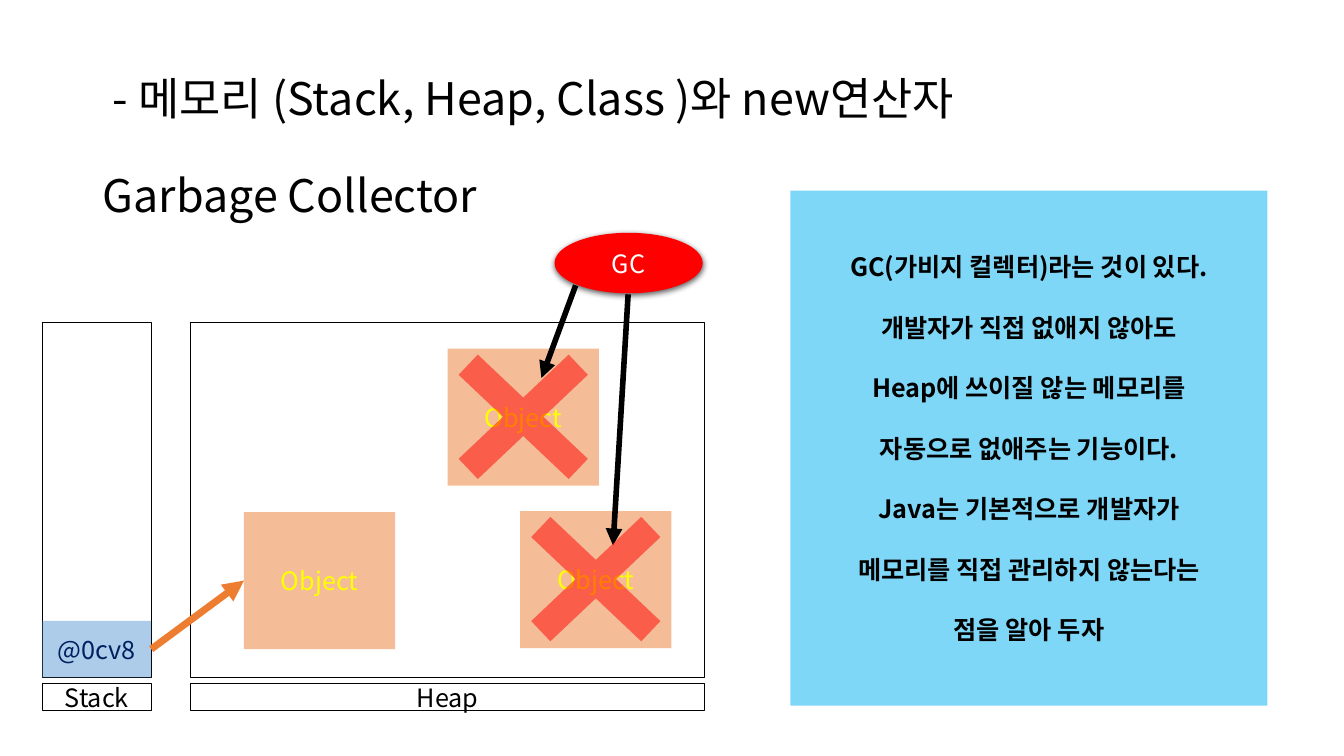
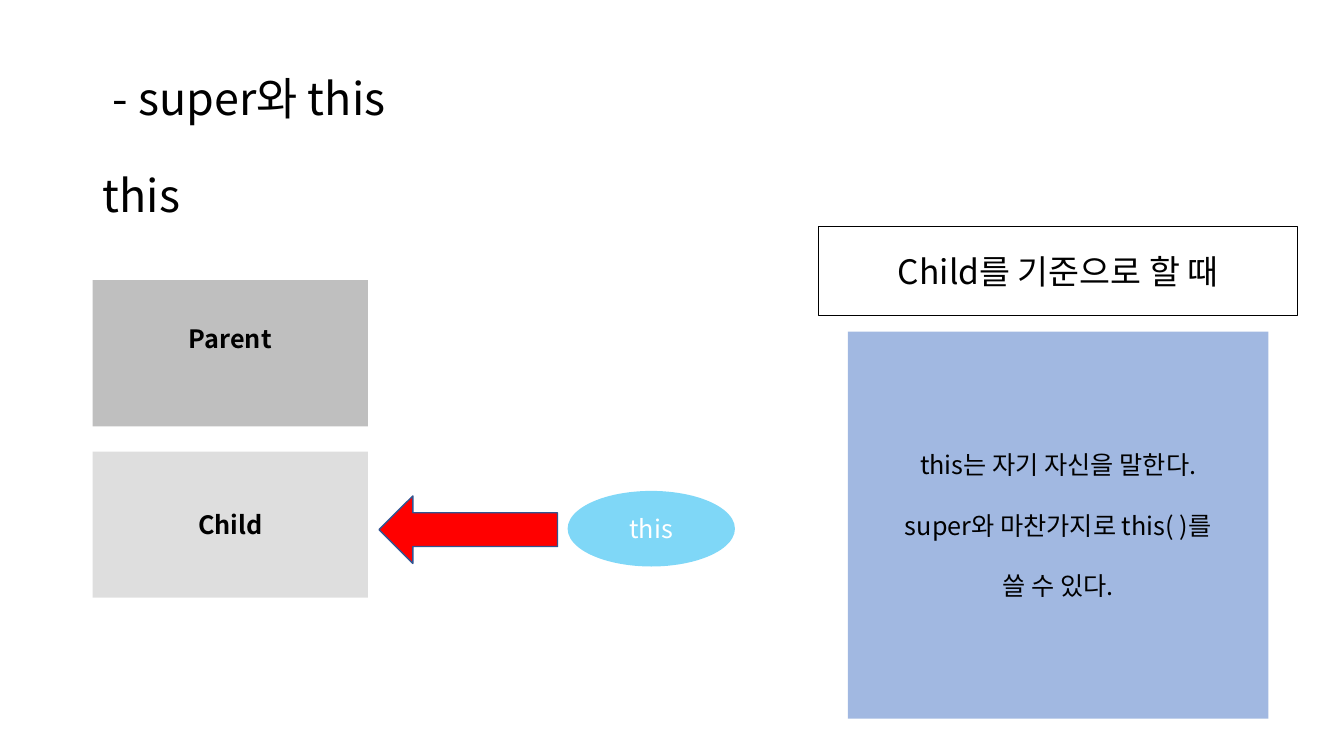
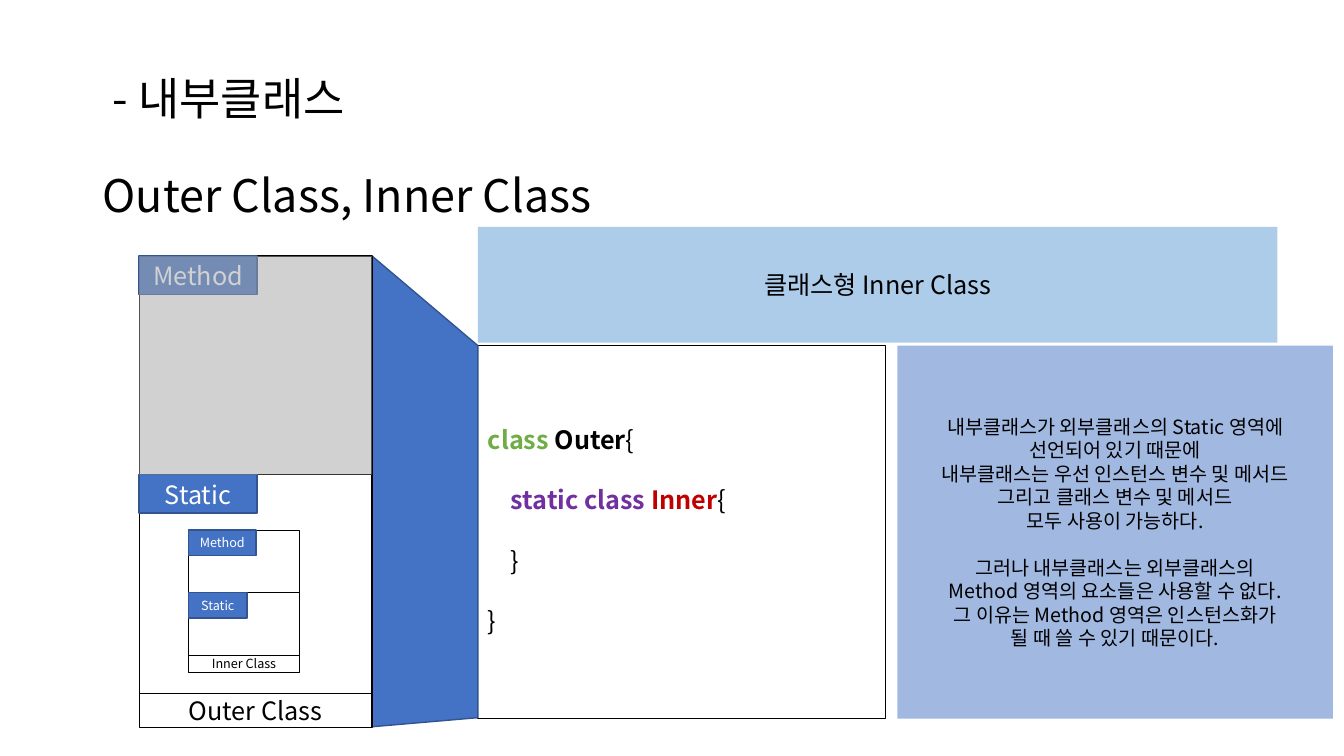
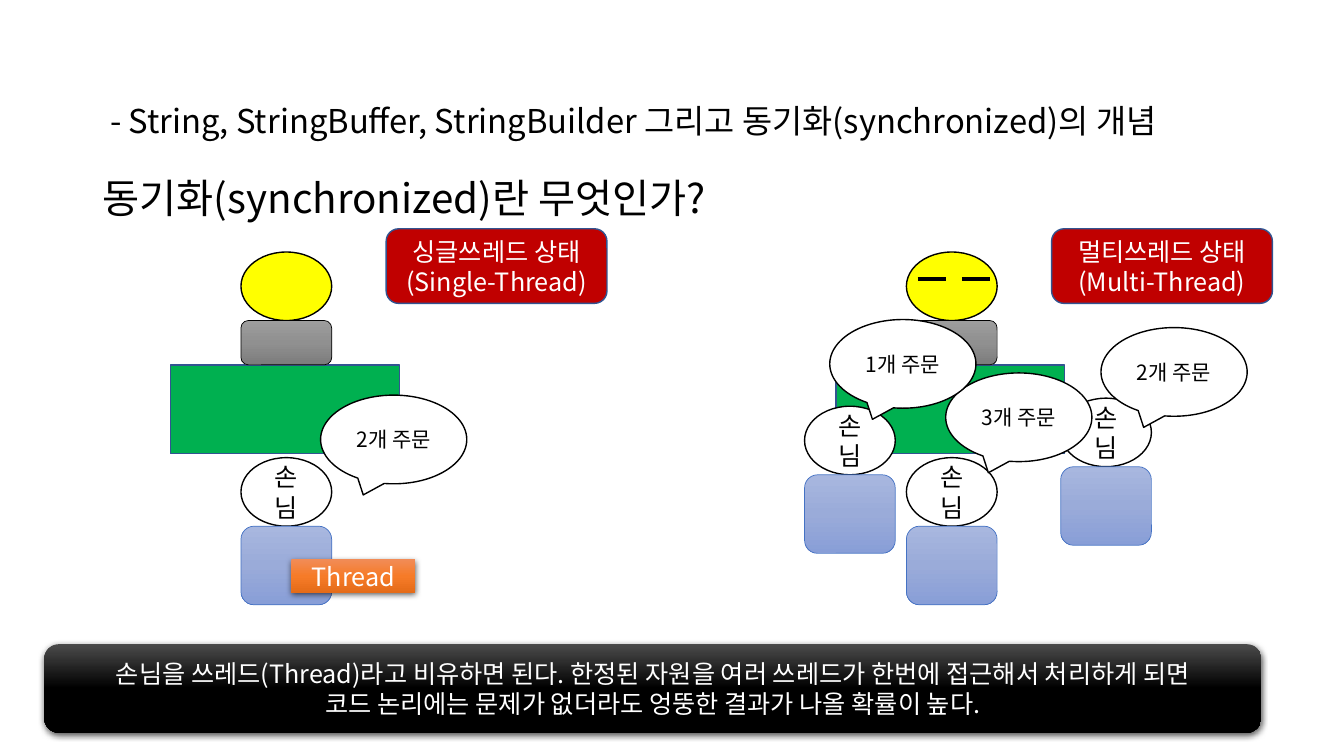
from dataclasses import dataclass

from pptx import Presentation
from pptx.dml.color import RGBColor
from pptx.enum.shapes import MSO_CONNECTOR, MSO_SHAPE as Shape
from pptx.enum.text import MSO_ANCHOR as Anchor, PP_ALIGN as Align
from pptx.oxml import parse_xml
from pptx.oxml.ns import nsdecls, qn
from pptx.util import Inches, Pt


@dataclass(frozen=True)
class Theme:
    font: str = "Noto Sans CJK KR"
    black: str = "000000"
    white: str = "FFFFFF"
    red: str = "FF0000"
    crimson: str = "C00000"
    yellow: str = "FFFF00"
    orange: str = "ED7D31"
    blue: str = "4472C4"
    edge: str = "325491"
    light_blue: str = "5B9BD5"
    sky: str = "00B0F0"
    navy: str = "002060"
    green: str = "00B050"
    keyword: str = "70AD47"
    purple: str = "7030A0"
    gray: str = "808080"
    silver: str = "BFBFBF"
    veil: str = "A5A5A5"
    steel_shade: tuple = ("9D9D9D", "909090", "7C7C7C")
    blue_shade: tuple = ("A8B7DF", "9AABD9", "889ED7")
    orange_shade: tuple = ("F18C57", "F67B28", "E56C19")
    black_shade: tuple = ("4B4B4B", "000000", "000000")
    title: float = 32
    long_title: float = 23.4
    long_subtitle: float = 28.8
    heading: float = 24
    body: float = 18
    order: float = 15
    note: float = 14
    tiny: float = 9
    blank_line: float = 21.6


T = Theme()


def put(slide, box, text="", kind=Shape.RECTANGLE, fill=None, alpha=None, line=None,
        width=0.75, shadow=False, adjust=None, size=T.body, color=T.black, bold=False,
        align=Align.CENTER, anchor=Anchor.MIDDLE, gap=0, gap_at=None, spacing=None, bottom=0.05):
    place = [Inches(value) for value in box]
    if kind is None:
        part = slide.shapes.add_textbox(*place)
    else:
        part = slide.shapes.add_shape(kind, *place)
        part.shadow.inherit = False
        if isinstance(fill, tuple):
            part.fill.gradient()
            part.fill.gradient_angle = 270
            stops = part.fill._xPr.find(qn("a:gradFill")).find(qn("a:gsLst"))
            stops.clear()
            for position, shade in zip((0, 50000, 100000), fill):
                stops.append(parse_xml(f'<a:gs {nsdecls("a")} pos="{position}"><a:srgbClr val="{shade}"/></a:gs>'))
        elif fill:
            part.fill.solid()
            part.fill.fore_color.rgb = RGBColor.from_string(fill)
            if alpha:
                tint = part._element.spPr.find(qn("a:solidFill"))[0]
                tint.append(parse_xml(f'<a:alpha {nsdecls("a")} val="{alpha * 1000}"/>'))
        else:
            part.fill.background()
        if line:
            part.line.color.rgb = RGBColor.from_string(line)
            part.line.width = Pt(width)
        else:
            part.line.fill.background()
        if shadow:
            part._element.spPr.find(qn("a:effectLst")).append(parse_xml(
                f'<a:outerShdw {nsdecls("a")} blurRad="57150" dist="19050" dir="5400000" algn="ctr" rotWithShape="0">'
                f'<a:srgbClr val="{T.black}"><a:alpha val="63000"/></a:srgbClr></a:outerShdw>'))
        if adjust:
            part.adjustments[0] = adjust
    if not text:
        return
    frame = part.text_frame
    frame.word_wrap = True
    frame.vertical_anchor = anchor
    frame.margin_bottom = Inches(bottom)
    for index, content in enumerate([text] if isinstance(text, str) else text):
        paragraph = frame.paragraphs[0] if index == 0 else frame.add_paragraph()
        paragraph.alignment = align
        if spacing:
            paragraph.line_spacing = spacing
        if gap and index and (gap_at is None or index == gap_at):
            paragraph.space_before = Pt(gap)
        for words, own in [(content, {})] if isinstance(content, str) else content:
            run = paragraph.add_run()
            run.text = words
            run.font.name = T.font
            run.font.size = Pt(own.get("size", size))
            run.font.bold = own.get("bold", bold)
            run.font.color.rgb = RGBColor.from_string(own.get("color", color))
            run.font._element.append(parse_xml(f'<a:ea {nsdecls("a")} typeface="{T.font}"/>'))


def connect(slide, start, end, color=T.black, width=1, arrow=False):
    link = slide.shapes.add_connector(MSO_CONNECTOR.STRAIGHT, *[Inches(v) for v in (*start, *end)])
    link.line.color.rgb = RGBColor.from_string(color)
    link.line.width = Pt(width)
    if arrow:
        link.line._get_or_add_ln().append(parse_xml(f'<a:tailEnd {nsdecls("a")} type="triangle"/>'))
    link._element.spPr.append(parse_xml(f'<a:effectLst {nsdecls("a")}/>'))


deck = Presentation()
deck.slide_width = Inches(13.33)
deck.slide_height = Inches(7.5)

slides = []
for heading, subtitle, heading_size, subtitle_size, title_gap in (
    (" - 메모리 (Stack, Heap, Class )와 new연산자", "Garbage Collector", T.title, T.title, 34.5),
    (" - super와 this", "this", T.title, T.title, 34.5),
    (" - 내부클래스", "Outer Class, Inner Class", T.title, T.title, 34.5),
    (" - String, StringBuffer, StringBuilder 그리고 동기화(synchronized)의 개념",
     "동기화(synchronized)란 무엇인가?", T.long_title, T.long_subtitle, 27),
):
    slide = deck.slides.add_slide(deck.slide_layouts[6])
    put(slide, (0.92, 0.5, 10.78, 1.75),
        [[(heading, {"size": heading_size})], [(subtitle, {"size": subtitle_size})]],
        kind=None, align=Align.LEFT, anchor=Anchor.BOTTOM, spacing=0.9, gap=title_gap)
    slides.append(slide)
memory, this_slide, inner_class, threads = slides

for area, left, width in (("Stack", 0.42, 1.08), ("Heap", 1.89, 5.1)):
    put(memory, (left, 3.2, width, 3.52), line=T.black)
    put(memory, (left, 6.78, width, 0.27), area, line=T.black)
put(memory, (7.84, 1.89, 4.73, 5.11),
    ["GC(가비지 컬렉터)라는 것이 있다.", "개발자가 직접 없애지 않아도", "Heap에 쓰이질 않는 메모리를",
     "자동으로 없애주는 기능이다.", "Java는 기본적으로 개발자가", "메모리를 직접 관리하지 않는다는",
     "점을 알아 두자"],
    fill=T.sky, alpha=50, bold=True, gap=T.blank_line)
put(memory, (0.42, 6.16, 1.08, 0.56), "@0cv8", fill=T.light_blue, alpha=50, color=T.navy)
connect(memory, (1.5, 6.44), (2.42, 5.76), T.orange, 5, arrow=True)
garbage = ((4.44, 3.46), (5.16, 5.07))
for left, top in ((2.42, 5.08), *garbage):
    put(memory, (left, top, 1.5, 1.36), "Object", fill=T.orange, alpha=50, color=T.yellow)
put(memory, (5.5, 2.31, 1.47, 0.6), "GC", kind=Shape.OVAL, fill=T.red, color=T.white, shadow=True)
connect(memory, (5.71, 2.83), (5.37, 3.75), width=4, arrow=True)
connect(memory, (6.23, 2.92), (6.08, 5.41), width=4, arrow=True)
for left, top in garbage:
    put(memory, (left - 0.3, top - 0.32, 2.1, 1.99), kind=Shape.MATH_MULTIPLY, fill=T.red, alpha=50, adjust=0.139)

put(this_slide, (0.92, 2.78, 2.73, 1.45), "Parent", fill=T.gray, alpha=50, bold=True, bottom=0.35)
put(this_slide, (0.92, 4.48, 2.73, 1.45), "Child", fill=T.silver, alpha=50, bold=True)
put(this_slide, (8.41, 3.29, 4.17, 3.84),
    ["this는 자기 자신을 말한다.", "super와 마찬가지로 this( )를", "쓸 수 있다."],
    fill=T.blue, alpha=50, gap=T.blank_line)
put(this_slide, (8.12, 2.25, 4.75, 0.88), "Child를 기준으로 할 때",
    fill=T.white, line=T.black, width=1, size=T.heading)
put(this_slide, (3.76, 4.92, 1.77, 0.67), kind=Shape.LEFT_ARROW, fill=T.red, line=T.edge, width=1)
put(this_slide, (5.63, 4.87, 1.66, 0.75), "this", kind=Shape.OVAL, fill=T.sky, alpha=50, color=T.white)

put(inner_class, (4.74, 2.25, 7.93, 1.15), "클래스형 Inner Class", fill=T.light_blue, alpha=50)
put(inner_class, (8.9, 3.43, 4.32, 3.7),
    ["내부클래스가 외부클래스의 Static 영역에", "선언되어 있기 때문에",
     "내부클래스는 우선 인스턴스 변수 및 메서드", "그리고 클래스 변수 및 메서드", "모두 사용이 가능하다.",
     "그러나 내부클래스는 외부클래스의", "Method 영역의 요소들은 사용할 수 없다.",
     "그 이유는 Method 영역은 인스턴스화가", "될 때 쓸 수 있기 때문이다."],
    fill=T.blue, alpha=50, size=T.note, gap=16.8, gap_at=5)
put(inner_class, (4.74, 3.16, 4.04, 4.19),
    [[("class ", {"color": T.keyword, "bold": True}), ("Outer", {"bold": True}), ("{", {})],
     [("    static class ", {"color": T.purple, "bold": True}), ("Inner", {"color": T.crimson, "bold": True}),
      ("{", {})],
     "    }", "}"],
    kind=None, align=Align.LEFT, gap=T.blank_line)
put(inner_class, (4.74, 3.43, 4.04, 3.7), line=T.black)
zoom = inner_class.shapes.build_freeform(Inches(3.69), Inches(2.54))
zoom.add_line_segments([(Inches(x), Inches(y)) for x, y in ((4.74, 3.43), (4.74, 7.12), (3.69, 7.21))])
beam = zoom.convert_to_shape()
beam.shadow.inherit = False
beam.fill.solid()
beam.fill.fore_color.rgb = RGBColor.from_string(T.blue)
beam.line.color.rgb = RGBColor.from_string(T.edge)
beam.line.width = Pt(1)
for name, left, top, width, height, middle, name_height, tag_height, tag_widths, size in (
    ("Outer Class", 1.38, 2.54, 2.31, 4.34, 4.71, 0.34, 0.38, (1.17, 1.17), T.body),
    ("Inner Class", 1.87, 5.26, 1.1, 1.24, 5.88, 0.17, 0.25, (0.67, 0.58), T.tiny),
):
    put(inner_class, (left, top, width, height), line=T.black)
    put(inner_class, (left, top + height, width, name_height), name, line=T.black, size=size)
    connect(inner_class, (left, middle), (left + width, middle))
    for tag, tag_top, tag_width in zip(("Method", "Static"), (top, middle), tag_widths):
        put(inner_class, (left, tag_top, tag_width, tag_height), tag,
            fill=T.blue, line=T.edge, width=1, size=size, color=T.white)
put(inner_class, (1.38, 2.54, 2.31, 2.17), fill=T.veil, alpha=50)

for left, state, customers, orders in (
    (1.69, ["싱글쓰레드 상태", "(Single-Thread)"], ((2.39, 4.54),), (("2개 주문", 3.18, 3.92),)),
    (8.29, ["멀티쓰레드 상태", "(Multi-Thread)"], ((8.99, 4.54), (10.52, 3.95), (7.98, 4.03)),
     (("3개 주문", 9.38, 3.7), ("2개 주문", 10.92, 3.25), ("1개 주문", 8.23, 3.17))),
):
    put(threads, (left, 3.62, 2.27, 0.88), fill=T.green, line=T.edge, width=1)
    put(threads, (left + 0.7, 2.5, 0.9, 0.68), kind=Shape.OVAL, fill=T.yellow, line=T.black, width=1)
    put(threads, (left + 0.7, 3.18, 0.9, 0.44), kind=Shape.ROUNDED_RECTANGLE,
        fill=T.steel_shade, line=T.black, width=0.5)
    for x, y in customers:
        put(threads, (x, y, 0.9, 0.68), "손님", kind=Shape.OVAL, fill=T.white, line=T.black, width=1)
        put(threads, (x, y + 0.68, 0.9, 0.78), kind=Shape.ROUNDED_RECTANGLE,
            fill=T.blue_shade, line=T.blue, width=0.5)
    for order, x, y in orders:
        put(threads, (x, y, 1.45, 0.88), order, kind=Shape.OVAL_CALLOUT,
            fill=T.white, line=T.black, width=1, size=T.order)
    put(threads, (left + 2.14, 2.27, 2.19, 0.74), state, kind=Shape.FLOWCHART_ALTERNATE_PROCESS,
        fill=T.crimson, line=T.edge, width=1, color=T.white)
for eye in (9.1, 9.54):
    connect(threads, (eye, 2.77), (eye + 0.28, 2.77), width=2.5)
put(threads, (2.89, 5.55, 1.23, 0.33), "Thread", fill=T.orange_shade, color=T.white, shadow=True)
put(threads, (0.44, 6.39, 12.07, 0.88),
    ["손님을 쓰레드(Thread)라고 비유하면 된다. 한정된 자원을 여러 쓰레드가 한번에 접근해서 처리하게 되면",
     "코드 논리에는 문제가 없더라도 엉뚱한 결과가 나올 확률이 높다."],
    kind=Shape.ROUNDED_RECTANGLE, fill=T.black_shade, color=T.white, shadow=True)

deck.save("out.pptx")
